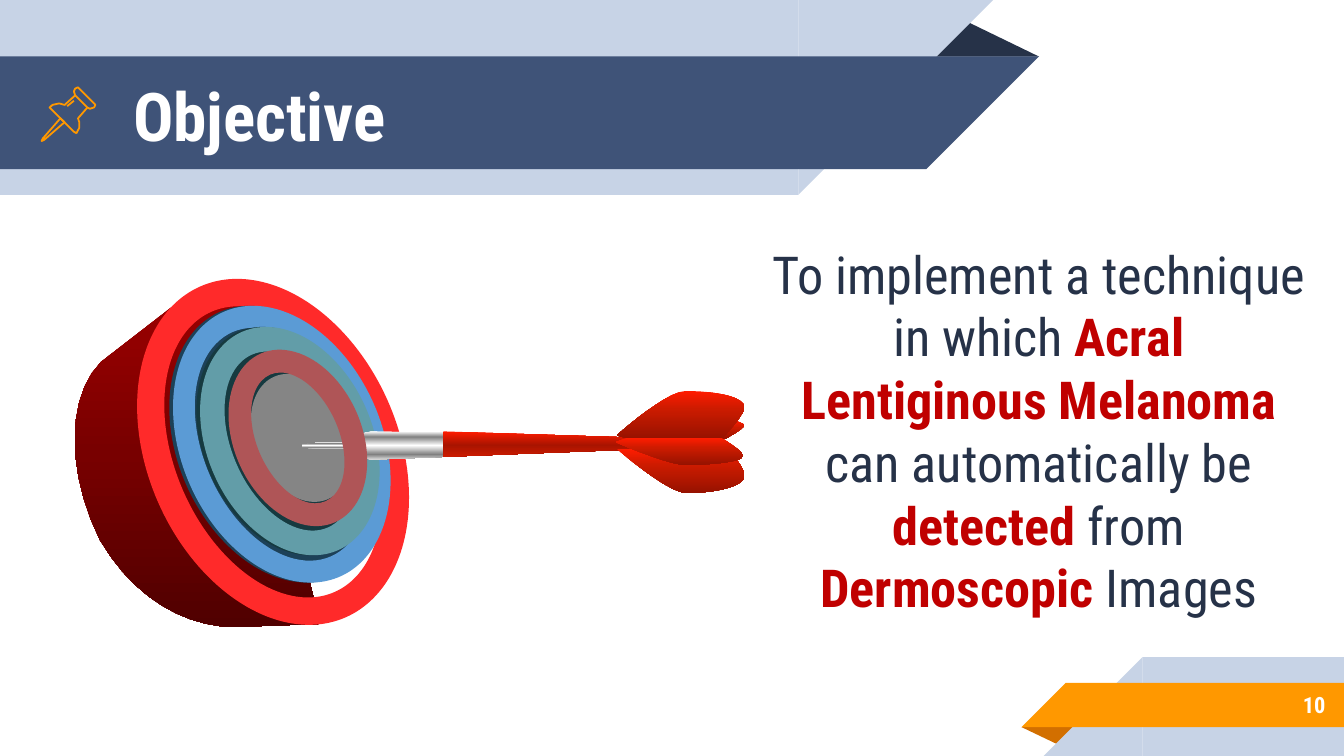
from lxml.etree import SubElement
from pptx import Presentation
from pptx.dml.color import RGBColor
from pptx.enum.shapes import MSO_SHAPE as Preset
from pptx.enum.text import MSO_ANCHOR as Anchor, MSO_AUTO_SIZE as AutoSize, PP_ALIGN as Align
from pptx.oxml.ns import qn
from pptx.util import Pt

FONT = "Roboto Condensed"
NAVY, BLUE, PALE, ORANGE = "263248", "3F5378", "C7D3E6", "FF9800"
WHITE, ACCENT = "FFFFFF", "C00000"
WING = [(0, "FF1C00"), (37, "CC1B00"), (100, "961200")]
STEEL = [(0, "FFFFFF"), (20, "808080"), (50, "FFFFFF"), (82, "808080"), (100, "D9D9D9")]
BOARD_WIDTH, BOARD_HEIGHT, BOARD_TILT = 134.5, 193.6, 336.3


def color(value):
    return RGBColor.from_string(value)


def paint(shape, fill):
    """Fill with one hex colour, or top to bottom with (percent, hex) stops."""
    shape.shadow.inherit = False
    shape.line.fill.background()
    if isinstance(fill, str):
        shape.fill.solid()
        shape.fill.fore_color.rgb = color(fill)
        return
    shape.fill.gradient()
    shape.fill.gradient_angle = 270
    stops = shape._element.spPr.find(qn("a:gradFill")).find(qn("a:gsLst"))
    for stop in list(stops):
        stops.remove(stop)
    for percent, value in fill:
        stop = SubElement(stops, qn("a:gs"), pos=str(percent * 1000))
        SubElement(stop, qn("a:srgbClr"), val=value)


def add_preset(slide, preset, box, fill, rotation=0, adjust=None):
    shape = slide.shapes.add_shape(preset, *[Pt(length) for length in box])
    shape.rotation = rotation
    if adjust is not None:
        shape.adjustments[0] = adjust
    paint(shape, fill)


def add_band(slide, left, top, width, height, fill, slant_left=False):
    """Rectangle with a 45-degree triangular end."""
    end = left - height if slant_left else left + width
    add_preset(slide, Preset.RECTANGLE, (left, top, width, height), fill)
    add_preset(slide, Preset.RIGHT_TRIANGLE, (end, top, height, height), fill,
               270 if slant_left else 90)


def flatten(path, steps=10):
    """Turn (x, y) corners and (x1, y1, x2, y2, x, y) curves into points."""
    points = [path[0]]
    for part in path[1:]:
        if len(part) == 2:
            points.append(part)
            continue
        x0, y0 = points[-1]
        x1, y1, x2, y2, x3, y3 = part
        for step in range(1, steps + 1):
            t = step / steps
            a, b, c, d = (1 - t) ** 3, 3 * t * (1 - t) ** 2, 3 * t * t * (1 - t), t ** 3
            points.append((a * x0 + b * x1 + c * x2 + d * x3,
                           a * y0 + b * y1 + c * y2 + d * y3))
    return points


def add_outline(slide, path, fill=None, close=True):
    """Filled shape, or an orange line drawing when there is no fill."""
    points = [(Pt(x), Pt(y)) for x, y in flatten(path)]
    builder = slide.shapes.build_freeform(*points[0], scale=1.0)
    builder.add_line_segments(points[1:], close=close)
    shape = builder.convert_to_shape()
    if fill:
        paint(shape, fill)
    else:
        shape.shadow.inherit = False
        shape.fill.background()
        shape.line.color.rgb = color(ORANGE)
        shape.line.width = Pt(0.96)


def write(shape, box, runs, size, align):
    """Place a text shape and fill it with (text, colour, bold) runs."""
    shape.left, shape.top, shape.width, shape.height = [Pt(length) for length in box]
    frame = shape.text_frame
    frame.word_wrap = True
    frame.auto_size = AutoSize.NONE
    frame.vertical_anchor = Anchor.MIDDLE
    frame.margin_left = frame.margin_right = frame.margin_top = frame.margin_bottom = Pt(7.2)
    paragraph = frame.paragraphs[0]
    paragraph.alignment = align
    paragraph.space_before = Pt(0)
    properties = paragraph._p.get_or_add_pPr()
    properties.set("marL", "0")
    properties.set("indent", "0")
    SubElement(properties, qn("a:buNone"))
    for text, value, bold in runs:
        run = paragraph.add_run()
        run.text = text
        run.font.name, run.font.size, run.font.bold = FONT, Pt(size), bold
        run.font.color.rgb = color(value)


def add_ribbons(slide):
    # Header
    add_preset(slide, Preset.ISOSCELES_TRIANGLE, (495.4, 10.1, 61.2, 20.2), NAVY, adjust=0.32)
    add_band(slide, 0, 0, 427.7, 104.4, PALE)
    add_band(slide, 0, 30.2, 496.1, 60.5, BLUE)
    # Footer
    add_preset(slide, Preset.ISOSCELES_TRIANGLE, (547.2, 389.5, 31, 10.1), "D26F00", 180, 0.32)
    add_band(slide, 612, 352.1, 108, 52.9, PALE, slant_left=True)
    add_band(slide, 571, 365.8, 149, 23.8, ORANGE, slant_left=True)


def add_pushpin(slide):
    needle = [(32.4, 63.4), (23, 74.2), (22.3, 75.6), (23.8, 74.9), (34.6, 65.5)]
    cap = [(40.3, 51.1), (46.8, 57.6), (48.2, 58.3), (50.4, 57.6), (51.1, 56.2),
           (41.8, 46.8), (40.3, 47.5), (39.6, 49)]
    body = [(40.3, 51.1), (34.6, 56.2), (31.7, 55.4), (28.1, 56.2), (26.6, 57.6),
            (39.6, 70.6), (41, 71.3), (42.5, 68.4), (42.5, 65.5), (41.8, 63.4), (46.8, 57.6)]
    glint = [(36, 56.9), (39.6, 54)]
    for path, close in ((needle, True), (cap, True), (body, False), (glint, False)):
        add_outline(slide, path, close=close)


def add_disc(slide, center, scale, fill, thickness=None):
    """Tilted ring of the dartboard, or a full disc without a thickness."""
    width, height = BOARD_WIDTH * scale, BOARD_HEIGHT * scale
    box = (center[0] - width / 2, center[1] - height / 2, width, height)
    preset = Preset.OVAL if thickness is None else Preset.DONUT
    add_preset(slide, preset, box, fill, BOARD_TILT, thickness)


def add_dartboard(slide):
    side = [(127, 149.5), (101.8, 157), (54.1, 194),
            (36, 212, 35, 252, 53.6, 289.3), (72, 321, 100, 336, 125.9, 335.9),
            (171.4, 334.3)]
    add_outline(slide, side, [(0, "A00000"), (50, "780000"), (100, "500000")])
    add_disc(slide, (146.3, 242.1), 1, "FF2A2A", 0.11)
    # Recessed rings, each with a dark rim showing on its left
    for center, scale, fill, rim, thickness in (
            ((151, 238), 0.8, "5B9BD5", "1D4158", 0.11),
            ((155.3, 236.3), 0.66, "629DA8", "163A40", 0.15)):
        add_disc(slide, (center[0] - 2, center[1]), scale, rim)
        add_disc(slide, center, scale, fill, thickness)
    add_disc(slide, (161.3, 234.6), 0.37, "858585")


def add_dart(slide):
    lower = [(339.1, 240.5), (330.5, 240.5), (330.5, 240.5, 357.8, 264.2, 367.9, 264.2),
             (380.2, 264.2, 398.9, 261.4, 398.9, 254.9),
             (398.9, 252.7, 396.7, 249.1, 394.6, 246.2),
             (388.1, 248.4, 375.8, 249.1, 367.2, 249.1),
             (360.7, 249.1, 347.8, 244.1, 339.1, 240.5)]
    rear = [(394.6, 225.4), (391, 230.4, 386.6, 234.7, 386.6, 234.7), (388.1, 235.4),
            (390.2, 234, 398.9, 229.7, 398.9, 227.5)]
    upper = [(367.2, 209.5), (357.8, 209.5, 332.6, 231.1, 330.5, 233.3), (335.5, 234.7),
             (386.6, 235.4), (386.6, 235.4, 398.2, 223.2, 398.9, 218.2),
             (398.2, 211.7, 380.2, 209.5, 367.2, 209.5)]
    middle = [(386.6, 234.7), (335.5, 234.7), (329.8, 236.9),
              (329.8, 236.9, 357.8, 249.1, 367.2, 249.1),
              (379.4, 249.1, 398.2, 247.7, 398.2, 244.1),
              (398.2, 241.9, 386.6, 234.7, 386.6, 234.7)]
    shaft = [(237.6, 231.1), (237.6, 244.8), (347.8, 240.5), (347.8, 234.7)]
    barrel = [(198.7, 231.1), (198.7, 246.2), (237.6, 244.8), (237.6, 231.8)]
    collar = [(193, 244.8), (193, 232.6), (198.7, 231.1), (198.7, 246.2)]
    tip = [(172.1, 236.9), (162, 238.3), (162, 239.8), (172.1, 240.5), (193, 240.5), (193, 236.9)]
    add_outline(slide, shaft, [(0, "FF1C00"), (54, "A81400"), (100, "CC1B00")])
    for path in (lower, rear, upper, middle):
        add_outline(slide, path, WING)
    for path in (barrel, collar, tip):
        add_outline(slide, path, STEEL)


def main():
    presentation = Presentation()
    presentation.slide_width, presentation.slide_height = Pt(720), Pt(405)
    slide = presentation.slides.add_slide(presentation.slide_layouts[1])
    title, body = slide.placeholders

    add_ribbons(slide)
    add_pushpin(slide)
    add_dartboard(slide)
    add_dart(slide)
    # Bullseye ring covers the neck of the dart
    add_disc(slide, (159.6, 234.6), 0.51, "AF5557", 0.18)

    # Text stays in front of the ribbons
    for placeholder in (title, body):
        slide.shapes._spTree.append(placeholder._element)
    write(title, (64.1, 31, 432.7, 60.5), [("Objective", WHITE, True)], 36, Align.LEFT)
    write(body, (404.6, 106.6, 303.8, 247.7), [
        ("To implement a technique in which ", NAVY, False),
        ("Acral Lentiginous Melanoma", ACCENT, True),
        (" can automatically be ", NAVY, False),
        ("detected ", ACCENT, True),
        ("from ", NAVY, False),
        ("Dermoscopic", ACCENT, True),
        (" Images", NAVY, False)], 28, Align.CENTER)
    number = slide.shapes.add_textbox(0, 0, 0, 0)
    write(number, (599.8, 365, 117.4, 25.2), [("10", WHITE, True)], 12, Align.RIGHT)
    presentation.save("out.pptx")


if __name__ == "__main__":
    main()
